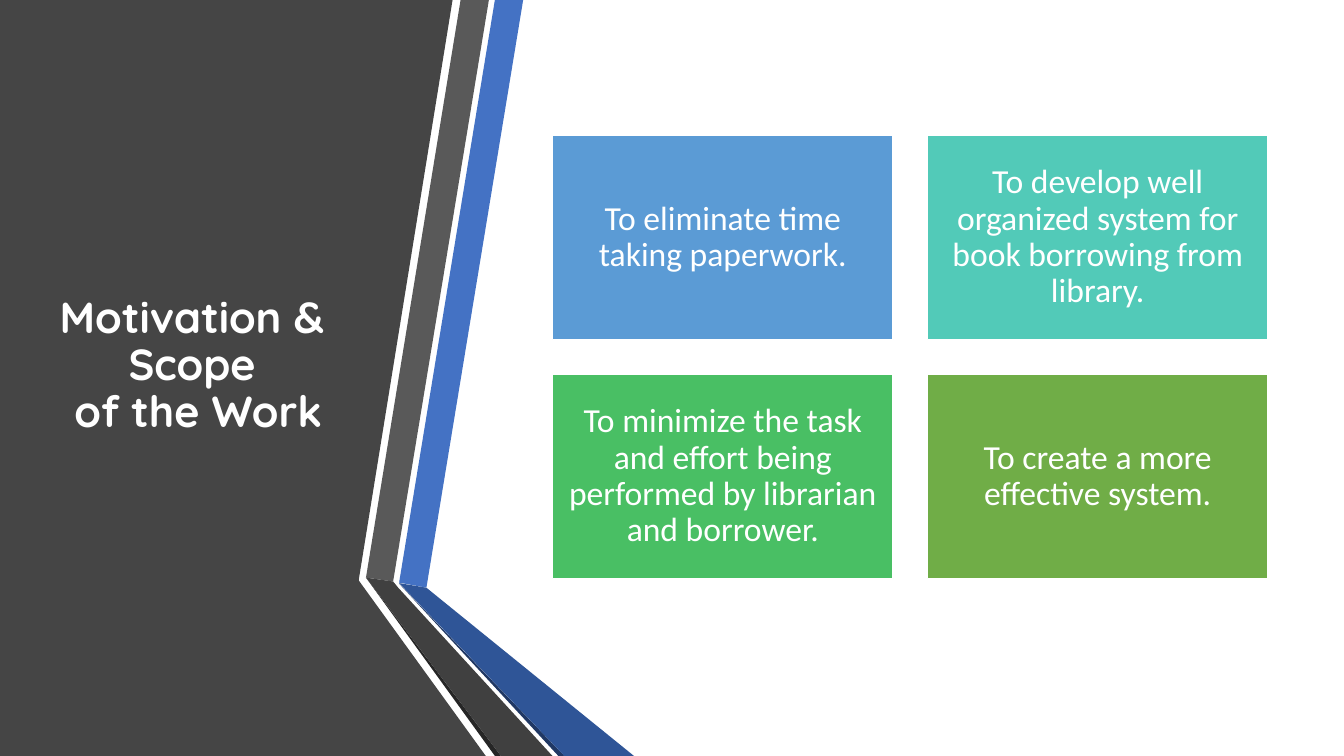
"""Build the slide on the motivation and scope of the library work."""
from dataclasses import dataclass

from pptx import Presentation
from pptx import util as u
from pptx.dml import color
from pptx.enum import text

Pt = u.Pt


@dataclass(frozen=True)
class Theme:
    """Colours, fonts and type sizes of the slide."""
    white: str = "FFFFFF"
    panel: str = "454545"
    blue: str = "4472C4"
    blue_dark: str = "2F5597"
    navy: str = "203864"
    grey: str = "595959"
    grey_dark: str = "404040"
    black: str = "262626"
    cards: tuple = ("5B9BD5", "52CAB8", "49BF64", "70AD47")
    title_font: str = "Quicksand"
    body_font: str = "Calibri"
    title_size: float = 31
    body_size: float = 24


THEME = Theme()
WIDTH, HEIGHT = 960, 540

RIBBONS = (
    (THEME.panel, ((0, 0), (323.3, 0), (256.3, 414), (256.3, 414.7),
                   (347, 540), (0, 540))),
    (THEME.blue, ((285.1, 416.2), (304.6, 419.8), (373.7, 0), (353.5, 0))),
    (THEME.grey, ((349.2, 0), (329, 0), (261.4, 412.6), (280.8, 415.4))),
    (THEME.black, ((261.4, 412.6), (353.5, 540), (357.8, 540))),
    (THEME.navy, ((285.1, 416.9), (398.9, 540), (403.2, 540))),
    (THEME.blue_dark, ((285.1, 416.5), (403.2, 540), (452.9, 540),
                       (304.6, 419.8))),
    (THEME.grey_dark, ((394.6, 540), (284.4, 419.8), (280.8, 415.4),
                       (261.4, 412.6), (357.8, 540))),
)

GOALS = (
    "To eliminate time taking paperwork.",
    "To develop well organized system for book borrowing from library.",
    "To minimize the task and effort being performed by librarian and borrower.",
    "To create a more effective system.",
)


def rgb(value):
    """Return a colour from its hexadecimal value."""
    return color.RGBColor.from_string(value)


def assign(target, values):
    """Set each attribute named in a dict."""
    for name, value in values.items():
        setattr(target, name, value)


def paint(shape, fill):
    """Give a shape a plain fill with no shadow."""
    shape.shadow.inherit = False
    shape.fill.solid()
    shape.fill.fore_color.rgb = rgb(fill)


def write(box, words, font, inset):
    """Put centred white text in the middle of a box."""
    frame = box.text_frame
    frame.text = words
    assign(frame, {
        "word_wrap": True,
        "auto_size": text.MSO_AUTO_SIZE.NONE,
        "vertical_anchor": text.MSO_ANCHOR.MIDDLE,
        "margin_left": Pt(inset), "margin_right": Pt(inset),
        "margin_top": Pt(inset), "margin_bottom": Pt(inset),
    })
    para = frame.paragraphs[0]
    assign(para, {"alignment": text.PP_ALIGN.CENTER, "line_spacing": 0.9,
                  "space_before": Pt(0)})
    for span in para.runs:
        assign(span.font, font)
        span.font.color.rgb = rgb(THEME.white)


def add_ribbon(page, fill, points):
    """Draw a closed outline through points."""
    start, *rest = [(Pt(x), Pt(y)) for x, y in points]
    builder = page.shapes.build_freeform(*start)
    builder.add_line_segments(rest, close=True)
    ribbon = builder.convert_to_shape()
    paint(ribbon, fill)
    ribbon.line.fill.background()


def set_title(page, words):
    """Place and format the title placeholder over the dark panel."""
    title = page.shapes.title
    assign(title, {"left": Pt(0), "top": Pt(54),
                   "width": Pt(283), "height": Pt(415.4)})
    write(title, words, {"name": THEME.title_font, "bold": True,
                         "size": Pt(THEME.title_size)}, 3.6)
    tree = page.shapes._spTree
    tree.append(title._element)


def add_card(page, index, words, fill):
    """Add one goal card at its place in the two-column grid."""
    row, column = divmod(index, 2)
    card = page.shapes.add_shape(
        1, Pt(394.6 + 267.8 * column), Pt(96.5 + 170.6 * row),
        Pt(243.4), Pt(146.2))
    paint(card, fill)
    card.line.color.rgb = rgb(THEME.white)
    card.line.width = Pt(1)
    write(card, words, {"name": THEME.body_font, "bold": False,
                        "size": Pt(THEME.body_size)}, 7.2)


def main():
    """Build and save the deck."""
    deck = Presentation()
    assign(deck, {"slide_width": Pt(WIDTH), "slide_height": Pt(HEIGHT)})
    page = deck.slides.add_slide(deck.slide_layouts.get_by_name("Title Only"))
    for fill, points in RIBBONS:
        add_ribbon(page, fill, points)
    set_title(page, "Motivation & \vScope \vof the Work")
    for index, (words, fill) in enumerate(zip(GOALS, THEME.cards)):
        add_card(page, index, words, fill)
    deck.save("out.pptx")


if __name__ == "__main__":
    main()
